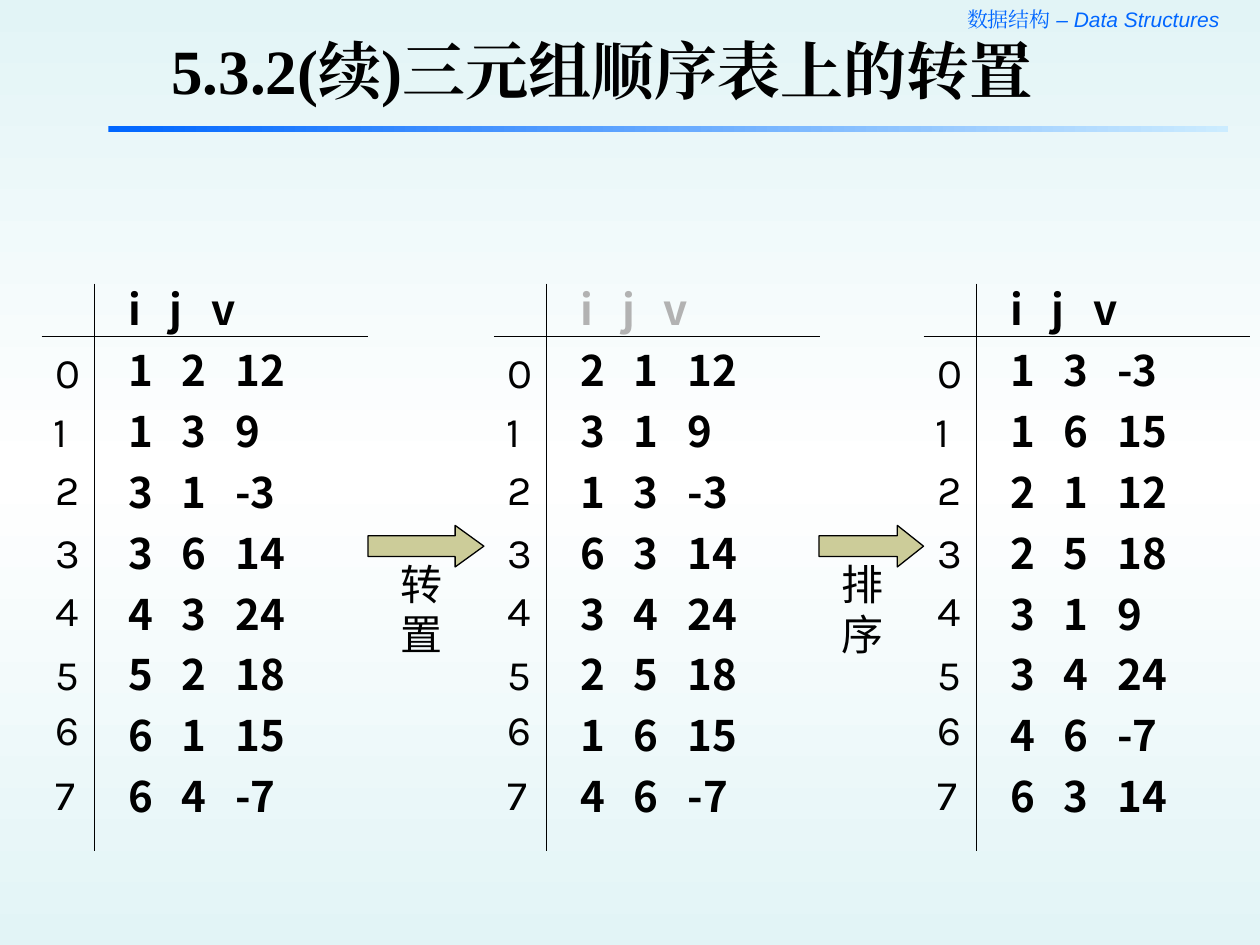
from lxml import etree
from copy import deepcopy
from pptx import Presentation
from pptx import util as u
from pptx.dml import color
from pptx.enum import shapes, text
from pptx.oxml import ns

COLORS = {
    "ink": "000000",
    "muted": "B2B2B2",
    "blue": "0066FF",
    "pale_blue": "CCECFF",
    "arrow": "CCCC99",
    "edge": "E2F4F6",
    "middle": "FFFFFF",
}
INDEX_TOPS = [2.75, 3.17, 3.68, 4.18, 4.64, 5.15, 5.58, 6.1]
HEADER_TABS = (0.33, 0.66)
ROW_TABS = (0.42, 0.85)
TRIPLES = [(1, 2, 12), (1, 3, 9), (3, 1, -3), (3, 6, 14),
           (4, 3, 24), (5, 2, 18), (6, 1, 15), (6, 4, -7)]


def rgb(name):
    return color.RGBColor.from_string(COLORS[name])


def style_run(r, font, size, tone="ink", bold=False, italic=False):
    r.font.size = u.Pt(size)
    r.font.bold = bold
    r.font.italic = italic
    r.font.color.rgb = rgb(tone)
    r.font.name = font
    ea = etree.SubElement(r._r.get_or_add_rPr(), ns.qn("a:ea"))
    ea.set("typeface", font)


def set_margins(tf, side, top):
    tf.margin_left = tf.margin_right = u.Inches(side)
    tf.margin_top = tf.margin_bottom = u.Inches(top)


def add_text_box(parent, left, top, width, height, side=0.1, pad=0.05):
    sp = parent.add_textbox(*map(u.Inches, (left, top, width, height)))
    tf = sp.text_frame
    tf.word_wrap = True
    set_margins(tf, side, pad)
    return tf


def add_label(parent, content, *box, **margins):
    tf = add_text_box(parent, *box, **margins)
    tf.text = content
    style_run(tf.paragraphs[0].runs[0], "Karla", 24)


def add_rule(parent, x1, y1, x2, y2):
    line = parent.add_connector(shapes.MSO_CONNECTOR.STRAIGHT,
                                *map(u.Inches, (x1, y1, x2, y2)))
    line.line.color.rgb = rgb("ink")
    line.line.width = u.Pt(0.75)
    etree.SubElement(line._element.spPr, ns.qn("a:effectLst"))


def add_tabs(p, stops):
    tabs = etree.SubElement(p._p.get_or_add_pPr(), ns.qn("a:tabLst"))
    for stop in stops:
        etree.SubElement(tabs, ns.qn("a:tab"), pos=str(u.Inches(stop)), algn="l")


def add_triples(s, left, triples, header_tone="ink"):
    group = s.shapes.add_group_shape().shapes
    add_rule(group, left + 0.42, 2.25, left + 0.42, 6.75)
    add_rule(group, left, 2.67, left + 2.59, 2.67)
    tf = add_text_box(group, left + 0.59, 2.17, 2.08, 4.37)
    tf.margin_top = u.Inches(0.08)
    for n, row in enumerate([("i", "j", "v"), *triples]):
        p = tf.paragraphs[0] if n == 0 else tf.add_paragraph()
        p.text = "\t".join(map(str, row))
        p.line_spacing = u.Pt(28.8)
        if n:
            p.space_before = u.Pt(6)
        add_tabs(p, ROW_TABS if n else HEADER_TABS)
        for r in p.runs:
            style_run(r, "Noto Sans CJK SC", 24, "ink" if n else header_tone, bold=True)
    for n, top in enumerate(INDEX_TOPS):
        if n == 1:
            add_label(group, str(n), left, top, 0.5, 0.5)
        else:
            add_label(group, str(n), left + 0.09, top, 0.25, 0.4, side=0.02, pad=0)


def add_step(s, content, left, width, head, label_left):
    sp = s.shapes.add_shape(shapes.MSO_SHAPE.RIGHT_ARROW,
                            *map(u.Inches, (left, 4.17, width, 0.33)))
    sp.shadow.inherit = False
    sp.adjustments[1] = head
    sp.fill.solid()
    sp.fill.fore_color.rgb = rgb("arrow")
    sp.line.color.rgb = rgb("ink")
    sp.line.width = u.Pt(0.75)
    add_label(s.shapes, content, label_left, 4.38, 0.58, 0.9)


def set_gradient(fill, start, end, angle):
    fill.gradient()
    fill.gradient_angle = angle
    for stop, name in zip(fill.gradient_stops, (start, end)):
        stop.color.rgb = rgb(name)


def set_background(s):
    fill = s.background.fill
    set_gradient(fill, "edge", "edge", 90)
    first = s._element.xpath(".//p:bg//a:gs")[0]
    first.addnext(deepcopy(first))
    middle = fill.gradient_stops[1]
    middle.position = 0.5
    middle.color.rgb = rgb("middle")


def add_header(s):
    tf = add_text_box(s.shapes, 6, 0, 3.83, 0.3)
    tf.margin_right = u.Inches(0.15)
    p = tf.paragraphs[0]
    p.alignment = text.PP_ALIGN.RIGHT
    for content, font, italic in (("数据结构 ", "Times New Roman", False),
                                  ("– Data Structures", "Arial", True)):
        r = p.add_run()
        r.text = content
        style_run(r, font, 12, "blue", italic=italic)
    bar = s.shapes.add_shape(shapes.MSO_SHAPE.RECTANGLE,
                             *map(u.Inches, (0.86, 1, 8.89, 0.05)))
    bar.shadow.inherit = False
    bar.line.fill.background()
    set_gradient(bar.fill, "blue", "pale_blue", 0)


def set_title(s, content):
    sp = s.shapes.title
    sp.left, sp.top, sp.width, sp.height = map(u.Inches, (1.26, 0.43, 7.6, 0.46))
    tf = sp.text_frame
    tf.text = content
    tf.word_wrap = True
    tf.auto_size = text.MSO_AUTO_SIZE.NONE
    tf.vertical_anchor = text.MSO_ANCHOR.BOTTOM
    set_margins(tf, 0.1, 0.04)
    p = tf.paragraphs[0]
    p.alignment = text.PP_ALIGN.LEFT
    style_run(p.runs[0], "Times New Roman", 36, bold=True)


def main():
    prs = Presentation()
    prs.slide_width, prs.slide_height = u.Inches(10), u.Inches(7.5)
    s = prs.slides.add_slide(prs.slide_layouts[5])
    set_background(s)
    add_header(s)
    set_title(s, "5.3.2(续)三元组顺序表上的转置")
    transposed = [(j, i, v) for i, j, v in TRIPLES]
    add_triples(s, 0.33, TRIPLES)
    add_step(s, "转置", 2.92, 0.92, 0.69, 3.08)
    add_triples(s, 3.92, transposed, header_tone="muted")
    add_step(s, "排序", 6.5, 0.83, 0.63, 6.58)
    add_triples(s, 7.33, sorted(transposed))
    prs.save("out.pptx")


if __name__ == "__main__":
    main()
